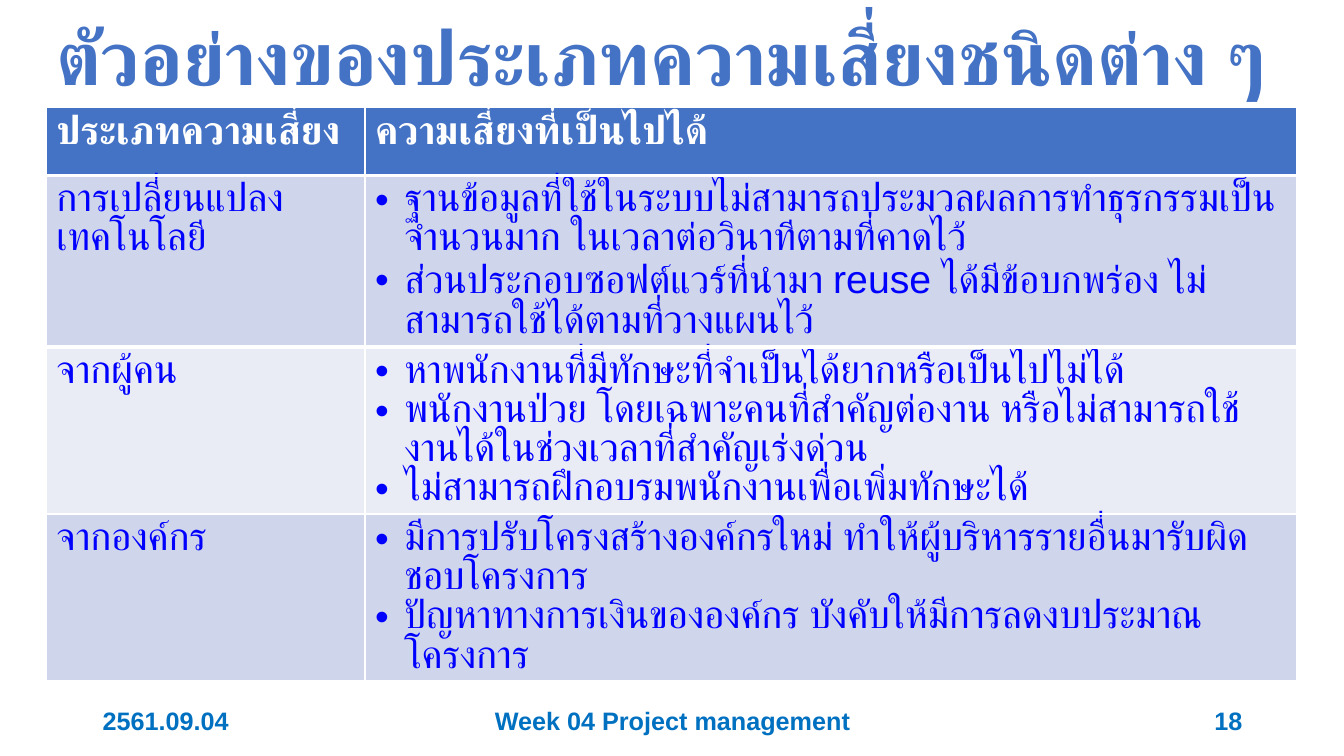
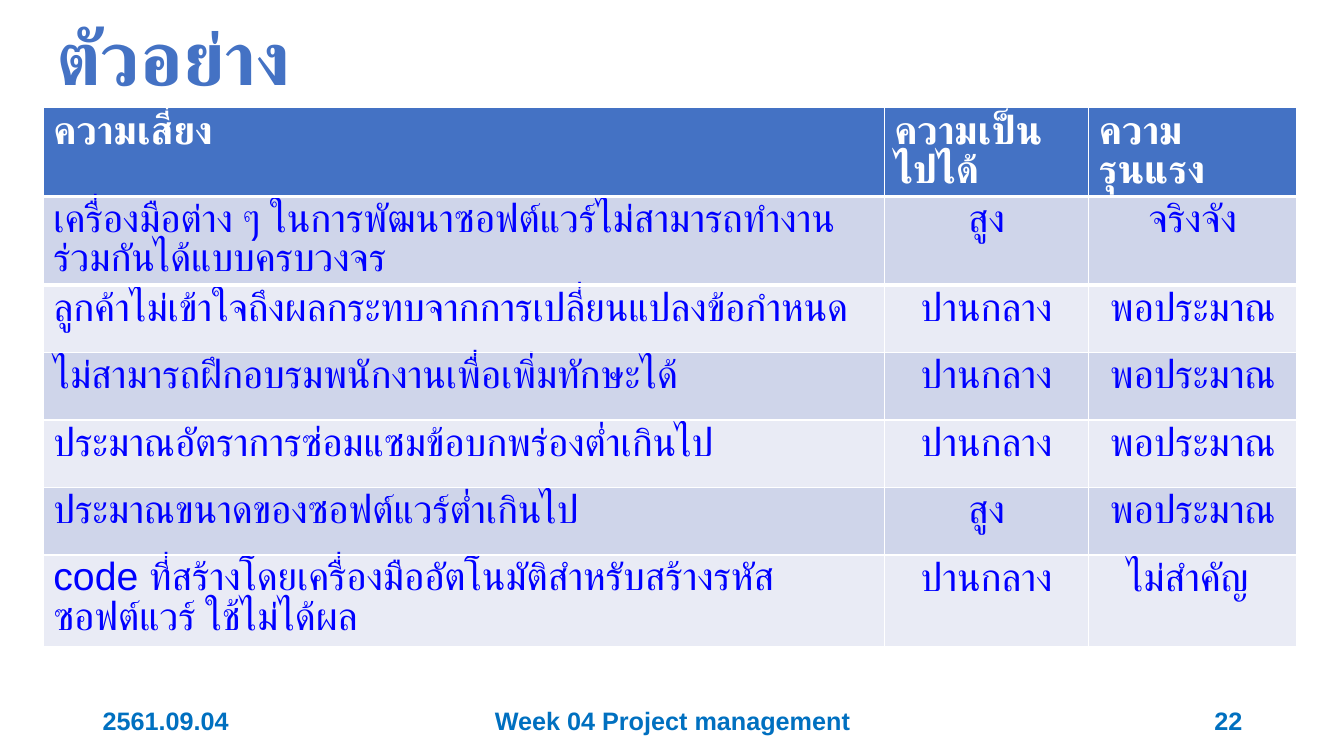
from dataclasses import dataclass

from lxml import etree
from pptx import Presentation
from pptx import util as u
from pptx.dml import color
from pptx.enum import text
from pptx.oxml import ns


@dataclass(frozen=True)
class Theme:
    font: str = "Arial"
    accent: str = "4472C4"
    footer: str = "0070C0"
    body: str = "0000FF"
    header_text: str = "FFFFFF"
    rule: str = "FFFFFF"
    bands: tuple = ("CFD5EA", "E9EBF5")
    title_size: int = 54
    table_size: int = 28
    footer_size: int = 18
    header_rule: int = 3
    latin_gap: int = 3


THEME = Theme()
LEFT, CENTER, RIGHT = text.PP_ALIGN.LEFT, text.PP_ALIGN.CENTER, text.PP_ALIGN.RIGHT
TITLE_BOX = (0.46, 0.15, 12.57, 0.92)
FOOTER_TOP, FOOTER_HEIGHT = 6.95, 0.4
TABLE_TOP = 1.07
BULLET_INDENT = u.Inches(0.29)


def rgb(value):
    return color.RGBColor.from_string(value)


def style_paragraph(paragraph, size, tint, bold, align=LEFT):
    paragraph.alignment = align
    for run in paragraph.runs:
        run.font.name = THEME.font
        run.font.size = u.Pt(size)
        run.font.bold = bold
        run.font.color.rgb = rgb(tint)


def add_bullet(paragraph):
    properties = paragraph._p.get_or_add_pPr()
    properties.set("marL", str(BULLET_INDENT))
    properties.set("indent", str(-BULLET_INDENT))
    bullet_font = etree.SubElement(properties, ns.qn("a:buFont"))
    bullet_font.set("typeface", THEME.font)
    etree.SubElement(properties, ns.qn("a:buChar")).set("char", "•")


def add_label(slide, box, words, size, tint, align=LEFT):
    label = slide.shapes.add_textbox(*map(u.Inches, box))
    frame = label.text_frame
    frame.word_wrap = True
    frame.vertical_anchor = text.MSO_ANCHOR.MIDDLE
    frame.text = words
    style_paragraph(frame.paragraphs[0], size, tint, True, align)
    return frame.paragraphs[0]


def add_title(slide, box, words):
    title = add_label(slide, box, words, THEME.title_size, THEME.accent)
    title.line_spacing = 0.9


def add_footer(slide, top, height, number):
    parts = (
        (0.92, 3, "2561.09.04", LEFT),
        (4.42, 4.5, "Week 04 Project management", CENTER),
        (9.42, 3, str(number), RIGHT),
    )
    for left, width, words, align in parts:
        add_label(slide, (left, top, width, height), words,
                  THEME.footer_size, THEME.footer, align)


def add_rule(cell, side):
    """Draw the thick line between the header and the body."""
    rule = etree.Element(ns.qn(side), w=str(u.Pt(THEME.header_rule)))
    paint = etree.SubElement(rule, ns.qn("a:solidFill"))
    etree.SubElement(paint, ns.qn("a:srgbClr")).set("val", THEME.rule)
    cell._tc.get_or_add_tcPr().insert(0, rule)


def fill_cell(cell, content, fill, tint, bold, align):
    """A list becomes bullets, a string one plain paragraph."""
    cell.fill.solid()
    cell.fill.fore_color.rgb = rgb(fill)
    bulleted = isinstance(content, list)
    cell.text_frame.text = "\n".join(content) if bulleted else content
    for paragraph in cell.text_frame.paragraphs:
        style_paragraph(paragraph, THEME.table_size, tint, bold, align)
        # Fixed pitch for Thai lines; Latin letters need a little more room
        paragraph.line_spacing = u.Pt(THEME.table_size)
        if any("a" <= letter <= "z" for letter in paragraph.text):
            paragraph.space_before = u.Pt(THEME.latin_gap)
        if bulleted:
            add_bullet(paragraph)


def add_risk_table(slide, left, top, widths, heights, rows, aligns):
    box = map(u.Inches, (left, top, sum(widths), sum(heights)))
    table = slide.shapes.add_table(len(rows), len(widths), *box).table
    for column, width in zip(table.columns, widths):
        column.width = u.Inches(width)
    for r, (row, height) in enumerate(zip(rows, heights)):
        table.rows[r].height = u.Inches(height)
        header = r == 0
        fill = THEME.accent if header else THEME.bands[(r - 1) % 2]
        tint = THEME.header_text if header else THEME.body
        for c, content in enumerate(row):
            cell = table.cell(r, c)
            fill_cell(cell, content, fill, tint, header,
                      LEFT if header else aligns[c])
            if r < 2:
                add_rule(cell, "a:lnB" if header else "a:lnT")


def add_table_slide(deck, title, number, **table):
    slide = deck.slides.add_slide(deck.slide_layouts[6])
    add_title(slide, TITLE_BOX, title)
    add_footer(slide, FOOTER_TOP, FOOTER_HEIGHT, number)
    add_risk_table(slide, top=TABLE_TOP, **table)


# Content
RISK_TYPES = [
    ("ประเภทความเสี่ยง", "ความเสี่ยงที่เป็นไปได้"),
    ("การเปลี่ยนแปลงเทคโนโลยี ", [
        "ฐานข้อมูลที่ใช้ในระบบไม่สามารถประมวลผลการทำธุรกรรมเป็นจำนวนมาก ในเวลาต่อวินาทีตามที่คาดไว้",
        "ส่วนประกอบซอฟต์แวร์ที่นำมา reuse ได้มีข้อบกพร่อง ไม่สามารถใช้ได้ตามที่วางแผนไว้",
    ]),
    ("จากผู้คน ", [
        "หาพนักงานที่มีทักษะที่จำเป็นได้ยากหรือเป็นไปไม่ได้",
        "พนักงานป่วย โดยเฉพาะคนที่สำคัญต่องาน หรือไม่สามารถใช้งานได้ในช่วงเวลาที่สำคัญเร่งด่วน",
        "ไม่สามารถฝึกอบรมพนักงานเพื่อเพิ่มทักษะได้",
    ]),
    ("จากองค์กร ", [
        "มีการปรับโครงสร้างองค์กรใหม่ ทำให้ผู้บริหารรายอื่นมารับผิดชอบโครงการ",
        "ปัญหาทางการเงินขององค์กร บังคับให้มีการลดงบประมาณโครงการ",
    ]),
]

RISK_LEVELS = [
    ("ความเสี่ยง", "ความเป็นไปได้", "ความรุนแรง"),
    ("เครื่องมือต่าง ๆ ในการพัฒนาซอฟต์แวร์ไม่สามารถทำงานร่วมกันได้แบบครบวงจร", "สูง", "จริงจัง"),
    ("ลูกค้าไม่เข้าใจถึงผลกระทบจากการเปลี่ยนแปลงข้อกำหนด", "ปานกลาง", "พอประมาณ"),
    ("ไม่สามารถฝึกอบรมพนักงานเพื่อเพิ่มทักษะได้", "ปานกลาง", "พอประมาณ"),
    ("ประมาณอัตราการซ่อมแซมข้อบกพร่องต่ำเกินไป", "ปานกลาง", "พอประมาณ"),
    ("ประมาณขนาดของซอฟต์แวร์ต่ำเกินไป", "สูง", "พอประมาณ"),
    ("code ที่สร้างโดยเครื่องมืออัตโนมัติสำหรับสร้างรหัสซอฟต์แวร์ ใช้ไม่ได้ผล", "ปานกลาง", "ไม่สำคัญ "),
]

# Slides
deck = Presentation()
deck.slide_width, deck.slide_height = u.Inches(13.33), u.Inches(7.5)
add_table_slide(deck, "ตัวอย่างของประเภทความเสี่ยงชนิดต่าง ๆ", 18,
                left=0.46, widths=(3.16, 9.24),
                heights=(0.67, 1.7, 1.66, 1.64),
                rows=RISK_TYPES, aligns=(LEFT, LEFT))
add_table_slide(deck, "ตัวอย่าง", 22,
                left=0.43, widths=(8.34, 2.03, 2.06),
                heights=(0.87, 0.87) + (0.67,) * 4 + (0.91,),
                rows=RISK_LEVELS, aligns=(LEFT, CENTER, CENTER))
deck.save("out.pptx")
